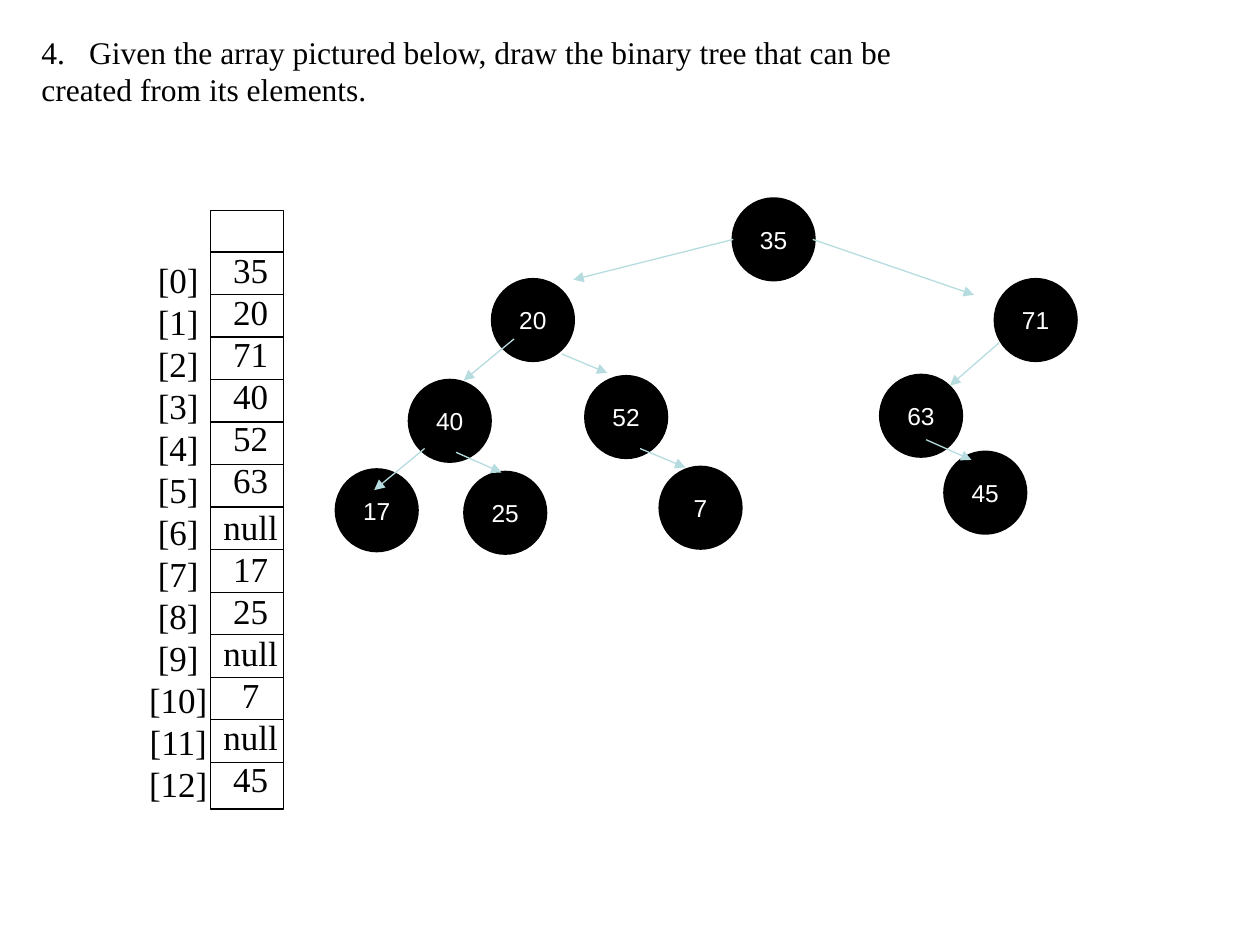
from lxml import etree
from pptx import Presentation
from pptx.dml.color import RGBColor
from pptx.enum.shapes import MSO_CONNECTOR, MSO_SHAPE
from pptx.enum.text import MSO_ANCHOR, PP_ALIGN
from pptx.oxml.ns import qn
from pptx.util import Inches, Pt

CENTER = PP_ALIGN.CENTER
LEFT = PP_ALIGN.LEFT
MIDDLE = MSO_ANCHOR.MIDDLE
OVAL = MSO_SHAPE.OVAL
RECTANGLE = MSO_SHAPE.RECTANGLE
STRAIGHT = MSO_CONNECTOR.STRAIGHT

BLACK, WHITE, ARROW_COLOR = "000000", "FFFFFF", "B6DCDF"
SERIF, SANS = "Times New Roman", "Arial"

QUESTION = [
    "Given the array pictured below, draw the binary tree that can be",
    "created from its elements.",
]
VALUES = ["35", "20", "71", "40", "52", "63", "null", "17", "25", "null", "7", "null", "45"]
INDEXES = [f"[{number}]" for number in range(len(VALUES))]

ARRAY_LEFT, ARRAY_TOP, ARRAY_WIDTH, ARRAY_HEIGHT = 1.67, 1.67, 0.58, 4.75
FIRST_DIVIDER, LAST_DIVIDER = 2.0, 6.05

NODE_SIZE = 0.64
NODES = [
    ("35", 5.82, 1.58),
    ("20", 3.91, 2.22),
    ("71", 7.9, 2.22),
    ("40", 3.25, 3.02),
    ("52", 4.65, 2.99),
    ("17", 2.67, 3.73),
    ("63", 6.99, 2.98),
    ("25", 3.69, 3.75),
    ("7", 5.24, 3.71),
    ("45", 7.5, 3.59),
]
ARROWS = [
    (5.82, 1.9, 4.55, 2.22),
    (4.46, 2.81, 4.82, 2.96),
    (5.08, 3.56, 5.44, 3.71),
    (7.35, 3.49, 7.71, 3.65),
    (3.62, 3.59, 3.98, 3.75),
    (4.08, 2.69, 3.68, 3.02),
    (3.37, 3.56, 2.97, 3.89),
    (7.93, 2.72, 7.54, 3.06),
    (6.45, 1.9, 7.73, 2.34),
]


def color(value):
    return RGBColor.from_string(value)


def write(frame, lines, size, font, text_color, align):
    frame.text = "\n".join(lines)
    for para in frame.paragraphs:
        para.alignment = align
        for span in para.runs:
            span.font.size = Pt(size)
            span.font.name = font
            span.font.color.rgb = color(text_color)


def add_text(page, place, lines, size, align):
    box = page.shapes.add_textbox(*map(Inches, place))
    box.text_frame.word_wrap = False
    write(box.text_frame, lines, size, SERIF, BLACK, align)
    return box.text_frame


def add_box(page, kind, place, fill, width):
    box = page.shapes.add_shape(kind, *map(Inches, place))
    box.shadow.inherit = False
    if fill:
        box.fill.solid()
        box.fill.fore_color.rgb = color(fill)
    else:
        box.fill.background()
    box.line.color.rgb = color(BLACK)
    box.line.width = Pt(width)
    return box


def add_line(page, ends, line_color, arrow=False):
    line = page.shapes.add_connector(STRAIGHT, *map(Inches, ends))
    line.line.color.rgb = color(line_color)
    line.line.width = Pt(0.75)
    if arrow:
        etree.SubElement(line.line._get_or_add_ln(), qn("a:tailEnd"), type="triangle")
    etree.SubElement(line._element.spPr, qn("a:effectLst"))


def number_paragraph(para, start):
    properties = para._p.get_or_add_pPr()
    properties.set("marL", str(Inches(0.38)))
    properties.set("indent", str(Inches(-0.38)))
    etree.SubElement(properties, qn("a:buFont"), typeface=SERIF)
    etree.SubElement(properties, qn("a:buAutoNum"), type="arabicPeriod", startAt=str(start))


deck = Presentation()
deck.slide_width, deck.slide_height = Inches(10), Inches(7.5)
page = deck.slides.add_slide(deck.slide_layouts[6])

add_box(page, RECTANGLE, (ARRAY_LEFT, ARRAY_TOP, ARRAY_WIDTH, ARRAY_HEIGHT), None, 0.75)
add_text(page, (1.08, 2, 0.67, 4.48), INDEXES, 20, CENTER)
row_height = (LAST_DIVIDER - FIRST_DIVIDER) / (len(VALUES) - 1)
for row in range(len(VALUES)):
    y = FIRST_DIVIDER + row * row_height
    add_line(page, (ARRAY_LEFT, y, ARRAY_LEFT + ARRAY_WIDTH, y), BLACK)

question = add_text(page, (0.23, 0.21, 7.02, 0.71), QUESTION, 18, LEFT)
number_paragraph(question.paragraphs[0], 4)

values = add_text(page, (1.67, 1.92, 0.64, 4.47), VALUES, 20, CENTER)
values.paragraphs[VALUES.index("null")].space_before = Pt(3)

for label, left, top in NODES:
    node = add_box(page, OVAL, (left, top, NODE_SIZE, NODE_SIZE), BLACK, 2)
    node.text_frame.vertical_anchor = MIDDLE
    write(node.text_frame, [label], 14, SANS, WHITE, CENTER)

for ends in ARROWS:
    add_line(page, ends, ARROW_COLOR, arrow=True)

deck.save("out.pptx")
